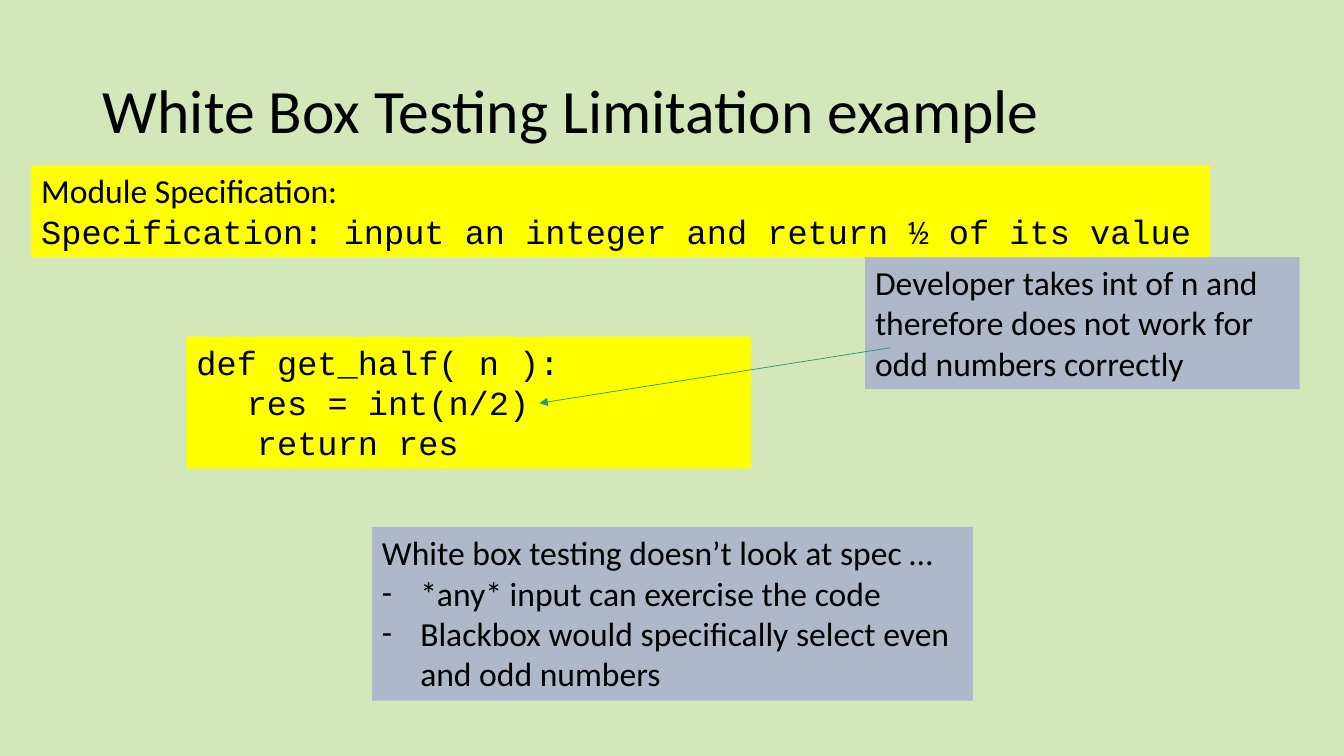
from dataclasses import dataclass

from lxml.etree import SubElement
from pptx import Presentation
from pptx.dml.color import RGBColor
from pptx.enum.shapes import MSO_CONNECTOR as Connector
from pptx.enum.text import MSO_ANCHOR as Anchor, MSO_AUTO_SIZE as AutoSize, PP_ALIGN as Align
from pptx.oxml.ns import qn
from pptx.util import Inches, Pt


@dataclass(frozen=True)
class Theme:
    background: str = "D4E7BA"
    ink: str = "000000"
    code_fill: str = "FFFF00"
    note_fill: str = "ADB9CA"
    arrow: str = "1D9A78"
    prose: str = "Calibri"
    code: str = "Courier New"
    title_size: int = 44
    body_size: int = 24
    arrow_width: float = 0.5


THEME = Theme()


def apply_format(target, values):
    for name, value in values.items():
        setattr(target, name, value)


def style_font(font, face, size):
    apply_format(font, {"name": face, "size": Pt(size), "bold": False})
    font.color.rgb = RGBColor.from_string(THEME.ink)


def indent(paragraph, margin, bullet=None):
    properties = paragraph._p.get_or_add_pPr()
    properties.set("marL", str(Inches(margin)))
    properties.set("indent", str(-Inches(margin) if bullet else 0))
    if bullet:
        SubElement(properties, qn("a:buFont"), typeface=THEME.prose)
        SubElement(properties, qn("a:buChar"), char=bullet)


def add_heading(slide, box, wording):
    heading = slide.shapes.title
    apply_format(heading, dict(zip(("left", "top", "width", "height"), map(Inches, box))))
    frame = heading.text_frame
    frame.text = wording
    apply_format(frame, {"vertical_anchor": Anchor.MIDDLE, "word_wrap": True,
                         "auto_size": AutoSize.NONE})
    line = frame.paragraphs[0]
    apply_format(line, {"alignment": Align.LEFT, "line_spacing": 0.9})
    style_font(line.runs[0].font, THEME.prose, THEME.title_size)


def add_panel(slide, box, fill, lines, wrap=True):
    """Each line is (wording, font face, left margin, bullet)."""
    panel = slide.shapes.add_textbox(*map(Inches, box))
    panel.fill.solid()
    panel.fill.fore_color.rgb = RGBColor.from_string(fill)
    frame = panel.text_frame
    apply_format(frame, {"word_wrap": wrap, "auto_size": AutoSize.SHAPE_TO_FIT_TEXT})
    for number, (wording, face, margin, bullet) in enumerate(lines):
        paragraph = frame.add_paragraph() if number else frame.paragraphs[0]
        indent(paragraph, margin, bullet)
        run = paragraph.add_run()
        run.text = wording
        style_font(run.font, face, THEME.body_size)


def add_arrow(slide, start, end):
    arrow = slide.shapes.add_connector(Connector.STRAIGHT, *map(Inches, start + end))
    arrow.line.color.rgb = RGBColor.from_string(THEME.arrow)
    arrow.line.width = Pt(THEME.arrow_width)
    SubElement(arrow.line._get_or_add_ln(), qn("a:tailEnd"), type="triangle")
    SubElement(arrow._element.spPr, qn("a:effectLst"))


def build_limitation_slide(deck):
    slide = deck.slides.add_slide(deck.slide_layouts[5])
    slide.background.fill.solid()
    slide.background.fill.fore_color.rgb = RGBColor.from_string(THEME.background)

    add_heading(slide, (0.92, 0.4, 11.5, 1.45), "White Box Testing Limitation example")

    # Code under test
    add_panel(slide, (1.85, 3.34, 5.6, 1.31), THEME.code_fill, [
        ("def get_half( n ):", THEME.code, 0, None),
        ("res = int(n/2)", THEME.code, 0.5, None),
        ("return res", THEME.code, 0.6, None),
    ])

    # Developer's mistake, pointing at the faulty line
    add_panel(slide, (8.58, 2.55, 4.31, 1.31), THEME.note_fill, [
        ("Developer takes int of n and therefore does not work for odd numbers correctly",
         THEME.prose, 0, None),
    ])
    add_arrow(slide, (8.83, 3.45), (5.35, 4))

    # Specification
    add_panel(slide, (0.31, 1.64, 11.69, 0.91), THEME.code_fill, [
        ("Module Specification:", THEME.prose, 0, None),
        ("Specification: input an integer and return ½ of its value", THEME.code, 0, None),
    ], wrap=False)

    # Conclusion
    add_panel(slide, (3.69, 5.23, 5.96, 1.72), THEME.note_fill, [
        ("White box testing doesn’t look at spec …", THEME.prose, 0, None),
        ("*any* input can exercise the code", THEME.prose, 0.38, "-"),
        ("Blackbox would specifically select even and odd numbers", THEME.prose, 0.38, "-"),
    ])


def main():
    deck = Presentation()
    apply_format(deck, {"slide_width": Inches(13.33), "slide_height": Inches(7.5)})
    build_limitation_slide(deck)
    deck.save("out.pptx")


if __name__ == "__main__":
    main()
